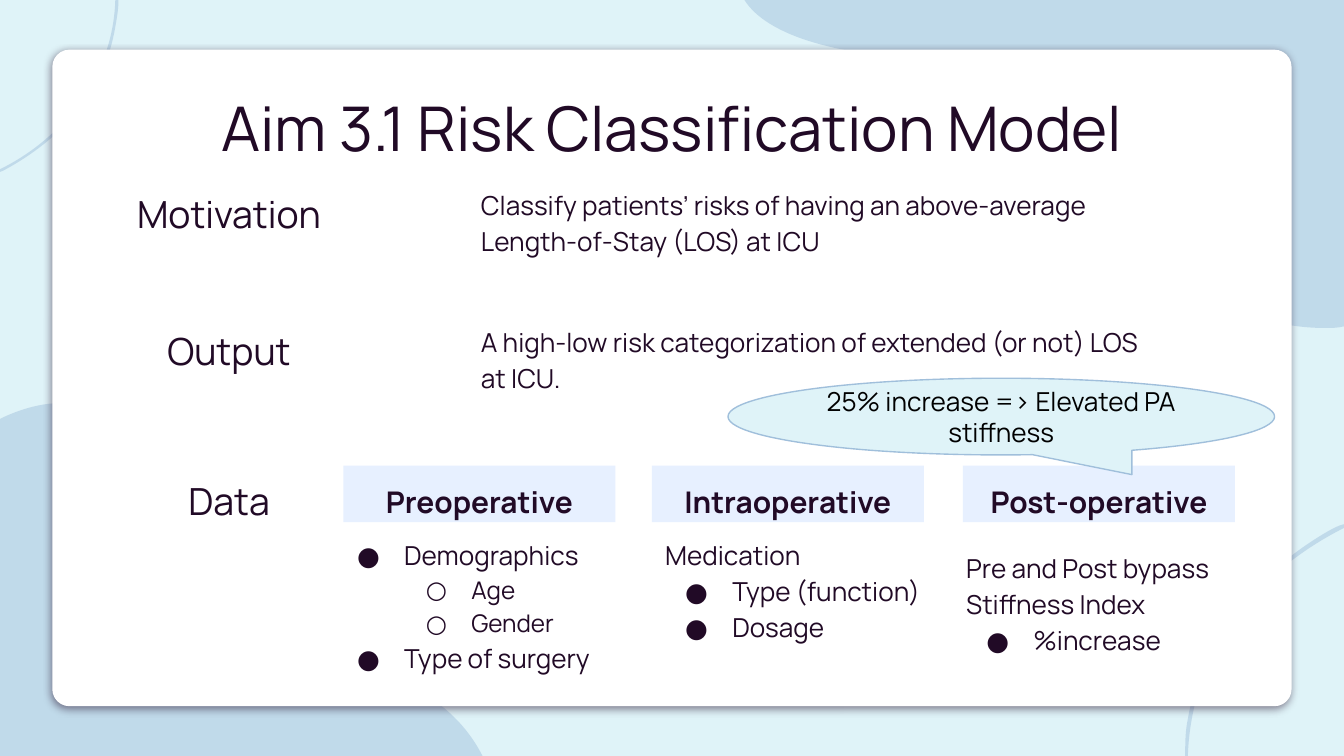
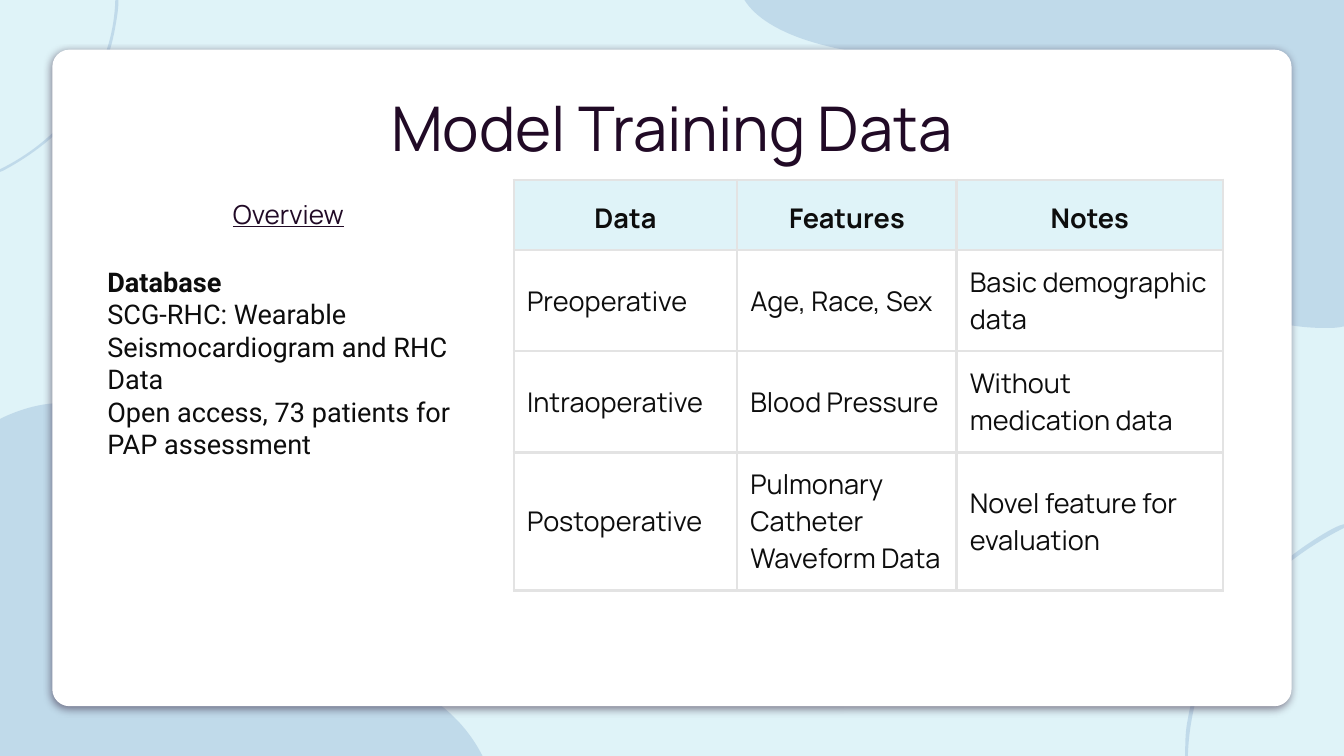
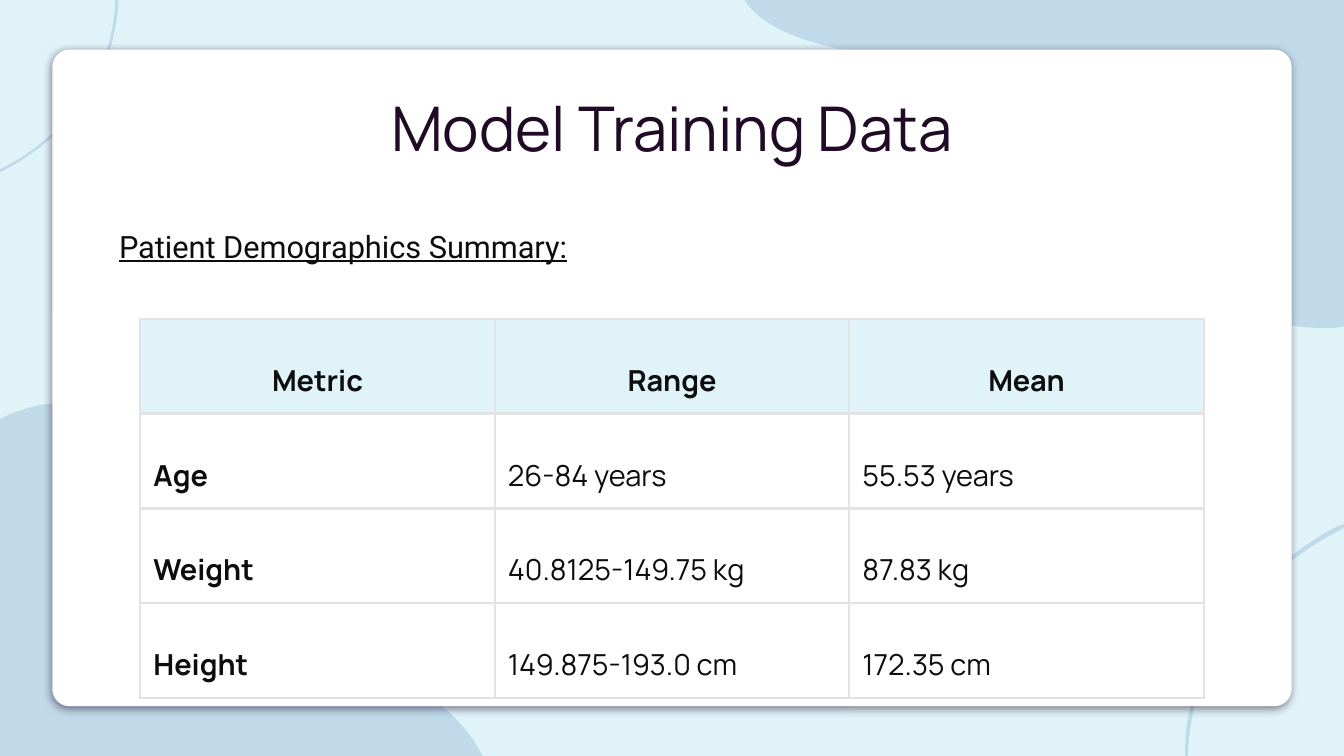
from lxml.etree import SubElement
from pptx import Presentation
from pptx.dml.color import RGBColor
from pptx.enum.shapes import MSO_SHAPE
from pptx.enum.text import MSO_ANCHOR, MSO_AUTO_SIZE, PP_ALIGN
from pptx.oxml import parse_xml
from pptx.oxml.ns import nsdecls, qn
from pptx.util import Cm, Pt

PALE_BLUE = RGBColor(0xDF, 0xF3, 0xF8)
BLUE = RGBColor(0xA0, 0xBF, 0xDB)
HEADING_BLUE = RGBColor(0xE7, 0xF0, 0xFF)
PLUM = RGBColor(0x21, 0x0A, 0x26)
INK = RGBColor(0x0D, 0x0D, 0x0D)
BLACK = RGBColor(0, 0, 0)
WHITE = RGBColor(0xFF, 0xFF, 0xFF)
GRID_GREY = RGBColor(0xE3, 0xE3, 0xE3)

FONT = "Manrope"
BODY_FONT = "Roboto"
INSET = 0.25
WIDTH, HEIGHT = 25.4, 14.29
TITLE_BOX = (2, 1.25, 21.4, 1.6)
CARD_BOX = (0.99, 0.94, 23.42, 12.41)
BULLETS = (("●", 1.27, -0.89), ("○", 2.54, -0.86))

BLOBS = [
    [(22.45, 14.29), (22.48, 13.36, 22.78, 12.45, 23.32, 11.71),
     (23.88, 10.95, 24.59, 10.39, 25.4, 9.98), (25.4, 9.91),
     (25.3, 9.93, 25.22, 9.98, 25.12, 10.03), (24.46, 10.41, 23.88, 10.89, 23.39, 11.51),
     (22.91, 12.12, 22.58, 12.83, 22.45, 13.59), (22.4, 13.82, 22.4, 14.05, 22.4, 14.29)],
    [(1.14, 7.62), (0.56, 7.62, 0, 7.92, 0, 7.92), (0, 14.29), (9.12, 14.29),
     (7.95, 11.99, 4.34, 12.42, 2.84, 11.96), (1.35, 11.51, 3, 9.2, 2.18, 8.13),
     (1.9, 7.75, 1.52, 7.62, 1.14, 7.62)],
    [(14.07, 0), (14.48, 0.66, 15.85, 1.12, 18.08, 1.12),
     (18.16, 1.12, 18.24, 1.12, 18.34, 1.12), (18.36, 1.12, 18.39, 1.12, 18.42, 1.12),
     (21.77, 1.12, 20.35, 4.04, 22.83, 5.59), (23.5, 6.02, 24.38, 6.2, 25.02, 6.2),
     (25.17, 6.2, 25.28, 6.2, 25.4, 6.17), (25.4, 0)],
    [(2.18, 0), (2.16, 0.69, 1.93, 1.37, 1.52, 1.9), (1.14, 2.46, 0.61, 2.9, 0, 3.2),
     (0, 3.25), (0.08, 3.23, 0.13, 3.18, 0.2, 3.15), (0.69, 2.87, 1.14, 2.51, 1.5, 2.06),
     (1.85, 1.63, 2.08, 1.09, 2.18, 0.51), (2.21, 0.33, 2.24, 0.18, 2.24, 0)],
]


def lengths(box):
    """Turn a box in centimetres into lengths."""
    return [Cm(value) for value in box]


def paint(shape, color, line_color=None):
    """Give a shape a flat fill, an optional thin line and no shadow."""
    shape.shadow.inherit = False
    shape.fill.solid()
    shape.fill.fore_color.rgb = color
    if line_color is None:
        shape.line.fill.background()
    else:
        shape.line.color.rgb = line_color
        shape.line.width = Pt(0.75)


def style(paragraph, size, color=PLUM, font=FONT, bold=False, underline=False,
          alignment=PP_ALIGN.LEFT, spacing=1.15):
    """Format a paragraph and its runs."""
    paragraph.alignment = alignment
    paragraph.line_spacing = spacing
    for run in paragraph.runs:
        run.font.size = Pt(size)
        run.font.name = font
        run.font.bold = bold
        run.font.underline = underline
        run.font.color.rgb = color


def write(shape, text, size, anchor=MSO_ANCHOR.TOP, **look):
    """Write evenly styled text into a shape and return its paragraphs."""
    frame = shape.text_frame
    frame.text = text
    frame.word_wrap = True
    frame.auto_size = MSO_AUTO_SIZE.NONE
    frame.vertical_anchor = anchor
    frame.margin_left = frame.margin_right = frame.margin_top = frame.margin_bottom = Cm(INSET)
    for paragraph in frame.paragraphs:
        style(paragraph, size, **look)
    return frame.paragraphs


def add_text(slide, box, text, size, **look):
    """Add a text box and return its paragraphs."""
    return write(slide.shapes.add_textbox(*lengths(box)), text, size, **look)


def add_bullet(paragraph, level):
    """Give a paragraph the bullet and indent of its level."""
    character, margin, indent = BULLETS[level]
    paragraph.level = level
    properties = paragraph._p.get_or_add_pPr()
    properties.set("marL", str(Cm(margin)))
    properties.set("indent", str(Cm(indent)))
    color = SubElement(properties, qn("a:buClr"))
    SubElement(color, qn("a:srgbClr"), val=str(PLUM))
    SubElement(properties, qn("a:buFont"), typeface=FONT)
    SubElement(properties, qn("a:buChar"), char=character)


def add_blob(slide, steps):
    """Add a translucent outline; a step of six numbers is a cubic curve, of two a line."""
    points = [(Cm(x), Cm(y)) for step in steps for x, y in zip(step[::2], step[1::2])]
    builder = slide.shapes.build_freeform(*points[0])
    builder.add_line_segments(points[1:])
    blob = builder.convert_to_shape()
    paint(blob, BLUE)
    properties = blob._element.spPr
    SubElement(properties.find(qn("a:solidFill"))[0], qn("a:alpha"), val="48000")
    segments = iter(list(properties.iter(qn("a:lnTo"))))
    for step in steps[1:]:
        segment = next(segments)
        if len(step) == 6:
            curve = parse_xml(f'<a:cubicBezTo {nsdecls("a")}/>')
            segment.addprevious(curve)
            for control in (segment, next(segments), next(segments)):
                curve.append(control[0])
                control.getparent().remove(control)
    return blob


def add_card(slide, box):
    """Add the white rounded card with its soft shadow."""
    card = slide.shapes.add_shape(MSO_SHAPE.ROUNDED_RECTANGLE, *lengths(box))
    card.adjustments[0] = 0.026
    paint(card, WHITE)
    effects = card._element.spPr.find(qn("a:effectLst"))
    effects.append(parse_xml(
        f'<a:outerShdw {nsdecls("a")} blurRad="{Pt(4.5)}" dist="{Pt(1.5)}" dir="5400000" '
        f'algn="bl" rotWithShape="0"><a:srgbClr val="{PLUM}"><a:alpha val="50000"/>'
        '</a:srgbClr></a:outerShdw>'))
    return card


def decorate_layout(layout, slide):
    """Draw the backdrop once and move it to the layout."""
    layout.background.fill.solid()
    layout.background.fill.fore_color.rgb = PALE_BLUE
    for placeholder in list(layout.placeholders):
        if placeholder.placeholder_format.idx:
            layout.shapes.element.remove(placeholder.element)
    backdrop = [add_blob(slide, steps) for steps in BLOBS] + [add_card(slide, CARD_BOX)]
    for shape in backdrop:
        layout.shapes.element.append(shape.element)


def add_titled_slide(presentation, layout, title):
    """Add a slide with its title."""
    slide = presentation.slides.add_slide(layout)
    shape = slide.shapes.title
    shape.left, shape.top, shape.width, shape.height = lengths(TITLE_BOX)
    write(shape, title, 33, alignment=PP_ALIGN.CENTER)
    return slide


def add_topic(slide, box, label, text=None):
    """Add a row with a label on the left and its text on the right."""
    left, top, width, height = box
    add_text(slide, (left, top, 6.38, height), label, 20, alignment=PP_ALIGN.CENTER)
    if text:
        text_left = left + 7.7
        add_text(slide, (text_left, top, left + width - text_left, height), text, 14)


def add_phase(slide, box, heading, items, list_offset):
    """Add a phase heading with its list below; items hold a text and a bullet level."""
    left, top, width, height = box
    band = slide.shapes.add_shape(MSO_SHAPE.RECTANGLE, *lengths((left, top, width, 1.07)))
    paint(band, HEADING_BLUE)
    write(band, heading, 16, bold=True, alignment=PP_ALIGN.CENTER)
    shift, drop = list_offset
    list_box = (left + shift, top + drop, 5.9, height - drop)
    paragraphs = add_text(slide, list_box, "\n".join(text for text, level in items), 14)
    for paragraph, (text, level) in zip(paragraphs, items):
        if level is not None:
            add_bullet(paragraph, level)
        if level == 1:
            style(paragraph, 13)


def add_callout(slide, box, text):
    """Add the speech bubble."""
    callout = slide.shapes.add_shape(MSO_SHAPE.OVAL_CALLOUT, *lengths(box))
    callout.adjustments[0] = 0.239
    callout.adjustments[1] = 0.757
    paint(callout, PALE_BLUE, BLUE)
    write(callout, text, 14, anchor=MSO_ANCHOR.MIDDLE, color=BLACK,
          alignment=PP_ALIGN.CENTER, spacing=1.0)


def add_borders(cell):
    """Draw grey lines on the four sides of a cell."""
    properties = cell._tc.get_or_add_tcPr()
    for side in ("lnL", "lnR", "lnT", "lnB"):
        line = SubElement(properties, qn(f"a:{side}"), w=str(Pt(1.5)))
        fill = SubElement(line, qn("a:solidFill"))
        SubElement(fill, qn("a:srgbClr"), val=str(GRID_GREY))


def add_grid(slide, position, widths, heights, rows, size, spacing, bold_first=False):
    """Add a table with a tinted heading row."""
    box = (*position, sum(widths), sum(heights))
    table = slide.shapes.add_table(len(rows), len(widths), *lengths(box)).table
    table.first_row = table.horz_banding = False
    for column, width in zip(table.columns, widths):
        column.width = Cm(width)
    for row_index, (row, height, texts) in enumerate(zip(table.rows, heights, rows)):
        row.height = Cm(height)
        is_heading = row_index == 0
        for column_index, (cell, text) in enumerate(zip(row.cells, texts)):
            cell.text_frame.text = text
            cell.margin_left = cell.margin_right = cell.margin_top = cell.margin_bottom = Cm(INSET)
            cell.vertical_anchor = MSO_ANCHOR.BOTTOM if is_heading else MSO_ANCHOR.MIDDLE
            style(cell.text_frame.paragraphs[0], size, color=INK, spacing=spacing,
                  bold=is_heading or (bold_first and column_index == 0),
                  alignment=PP_ALIGN.CENTER if is_heading else PP_ALIGN.LEFT)
            add_borders(cell)
            if is_heading:
                cell.fill.solid()
                cell.fill.fore_color.rgb = PALE_BLUE
            else:
                cell.fill.background()


def fill_risk_slide(slide):
    """Lay out motivation, output and data of the risk model."""
    topics = [
        (3.24, "Motivation",
         "Classify patients’ risks of having an above-average Length-of-Stay (LOS) at ICU"),
        (5.83, "Output", "A high-low risk categorization of extended (or not) LOS at ICU."),
        (8.66, "Data", None),
    ]
    for top, label, text in topics:
        add_topic(slide, (1.14, top, 21.08, 1.6), label, text)
    phases = [
        (6.49, "Preoperative", (-0.37, 1.06),
         [("Demographics", 0), ("Age", 1), ("Gender", 1), ("Type of surgery", 0)]),
        (12.32, "Intraoperative", (0, 1.06),
         [("Medication", None), ("Type (function)", 0), ("Dosage", 0)]),
        (18.2, "Post-operative", (-0.19, 1.31),
         [("Pre and Post bypass Stiffness Index", None), ("%increase", 0)]),
    ]
    for left, heading, offset, items in phases:
        add_phase(slide, (left, 8.8, 5.14, 3.68), heading, items, offset)
    add_callout(slide, (13.76, 7.15, 10.33, 1.45), "25% increase => Elevated PA stiffness")


def fill_database_slide(slide):
    """Lay out the database overview and the feature table."""
    lines = ["Overview", "Database", "SCG-RHC: Wearable Seismocardiogram and RHC Data",
             "Open access, 73 patients for PAP assessment"]
    overview, database, *details = add_text(slide, (1.78, 3.41, 7.34, 0.9), "\n".join(lines), 14.5,
                                            color=INK, font=BODY_FONT, spacing=1.0)
    style(overview, 14, underline=True, alignment=PP_ALIGN.CENTER)
    overview.space_after = Pt(19)
    database.runs[0].font.bold = True
    rows = [
        ("Data", "Features", "Notes"),
        ("Preoperative", "Age, Race, Sex", "Basic demographic data"),
        ("Intraoperative", "Blood Pressure", "Without medication data"),
        ("Postoperative", "Pulmonary Catheter Waveform Data", "Novel feature for evaluation"),
    ]
    add_grid(slide, (9.71, 3.4), (4.22, 4.15, 5.03), (1.33, 1.91, 1.91, 2.61), rows, 14.5, 1.0)


def fill_demographics_slide(slide):
    """Lay out the summary heading and the table of patient metrics."""
    summary = add_text(slide, (2, 3.63, 9.3, 1.6), "Patient Demographics Summary:", 16.5,
                       color=INK, font=BODY_FONT, underline=True, spacing=1.6)
    summary[0].space_before = Pt(14)
    rows = [
        ("Metric", "Range", "Mean"),
        ("Age", "26-84 years", "55.53 years"),
        ("Weight", "40.8125-149.75 kg", "87.83 kg"),
        ("Height", "149.875-193.0 cm", "172.35 cm"),
    ]
    add_grid(slide, (2.65, 6.03), [6.7] * 3, [1.79] * 4, rows, 15.5, 1.71, bold_first=True)


def main():
    """Build the three slides and save them."""
    presentation = Presentation()
    presentation.slide_width = Cm(WIDTH)
    presentation.slide_height = Cm(HEIGHT)
    layout = presentation.slide_layouts[5]
    contents = [
        ("Aim 3.1 Risk Classification Model", fill_risk_slide),
        ("Model Training Data", fill_database_slide),
        ("Model Training Data", fill_demographics_slide),
    ]
    slides = [add_titled_slide(presentation, layout, title) for title, fill in contents]
    decorate_layout(layout, slides[0])
    for slide, (title, fill) in zip(slides, contents):
        fill(slide)
    presentation.save("out.pptx")


if __name__ == "__main__":
    main()
